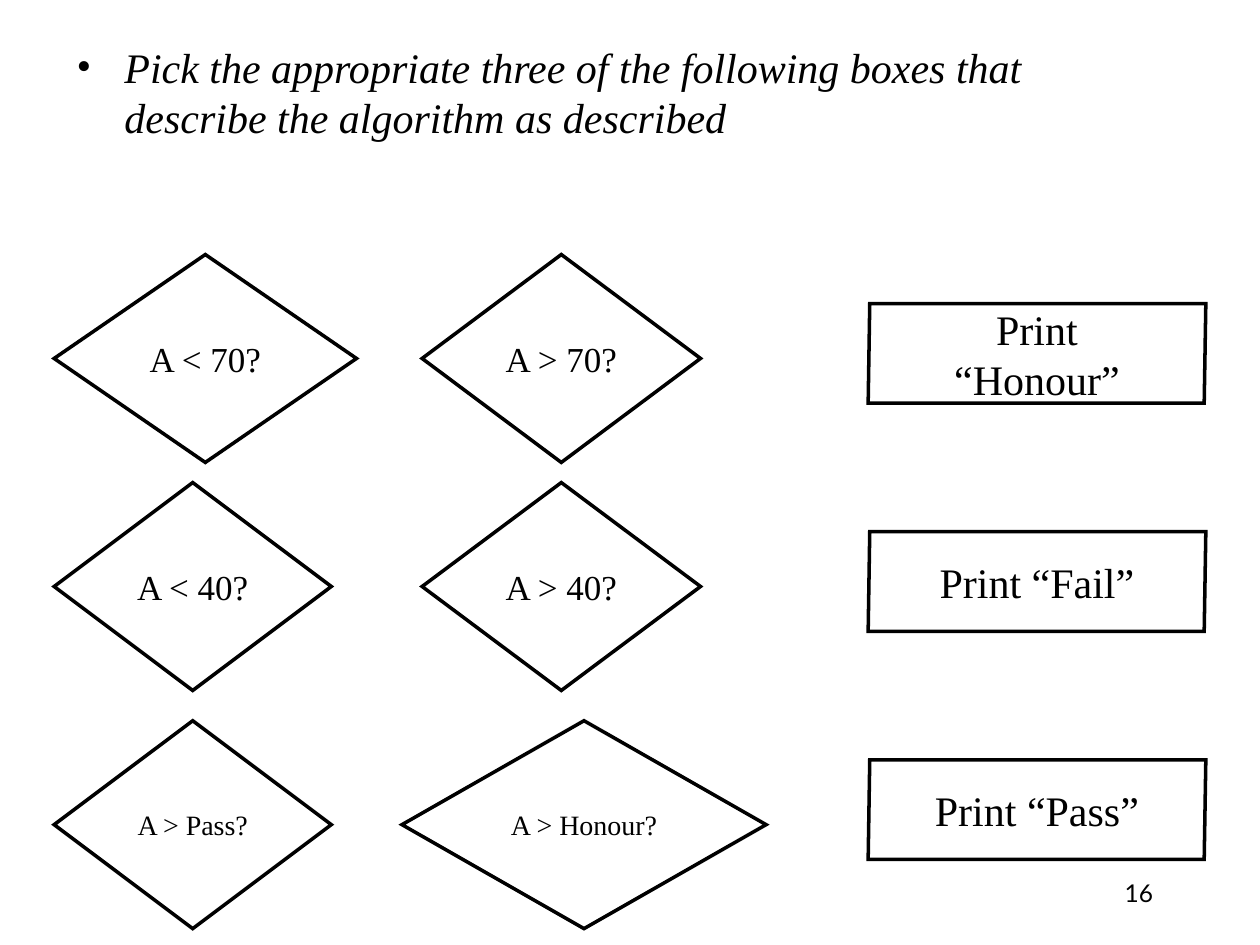
from lxml import etree
from pptx import Presentation
from pptx import util as u
from pptx.dml.color import RGBColor
from pptx.enum import shapes, text
from pptx.oxml.ns import qn

COLORS = {"ink": "000000", "paper": "FFFFFF"}
SERIF, SANS = "Times New Roman", "Lato"
COLUMNS, ROWS = 100, 75
SLIDE_WIDTH, SLIDE_HEIGHT = u.Inches(10), u.Inches(7.5)

# Region boxes: left, top, width, height in columns and rows
QUESTION_BOX = (5.1, 2.8, 89, 20.5)
DECISIONS_BOX = (4.3, 20.2, 56.5, 53.5)
OUTPUTS_BOX = (68.9, 24.1, 26.8, 44.1)
PAGE_NUMBER_BOX = (71.7, 69.2, 20.8, 4.2)

DIAMOND_HEIGHT = 16.5
# Row offset, font size, then label, column offset and width of each diamond
DECISIONS = [
    (0, 20, [("A < 70?", 0, 24), ("A > 70?", 29.2, 22.1)]),
    (18.1, 20, [("A < 40?", 0, 22), ("A > 40?", 29.2, 22.1)]),
    (37, 16, [("A > Pass?", 0, 22), ("A > Honour?", 27.6, 28.9)]),
]
OUTPUTS = ["Print “Honour”", "Print “Fail”", "Print “Pass”"]
OUTPUT_HEIGHT = 7.9


def color(name):
    return RGBColor.from_string(COLORS[name])


def to_slide(box):
    """Turn columns and rows into slide lengths."""
    left, top, width, height = box
    column, row = SLIDE_WIDTH / COLUMNS, SLIDE_HEIGHT / ROWS
    return [round(length) for length in
            (left * column, top * row, width * column, height * row)]


def write(shape, words, size, align, font=SERIF, italic=None):
    shape.text_frame.word_wrap = True
    paragraph = shape.text_frame.paragraphs[0]
    paragraph.alignment = align
    run = paragraph.add_run()
    run.text = words
    run.font.size = u.Pt(size)
    run.font.name = font
    run.font.italic = italic
    run.font.color.rgb = color("ink")
    return paragraph


def add_outlined(slide, kind, box, words, size):
    shape = slide.shapes.add_shape(kind, *to_slide(box))
    shape.shadow.inherit = False
    shape.fill.background()
    shape.line.color.rgb = color("ink")
    shape.line.width = u.Pt(2)
    etree.SubElement(shape.line._get_or_add_ln(), qn("a:miter"), lim="800000")
    shape.text_frame.vertical_anchor = text.MSO_ANCHOR.MIDDLE
    write(shape, words, size, text.PP_ALIGN.CENTER)
    return shape


def add_question(slide, box):
    shape = slide.shapes.add_textbox(*to_slide(box))
    paragraph = write(
        shape,
        "Pick the appropriate three of the following boxes that "
        "describe the algorithm as described",
        24, text.PP_ALIGN.LEFT, italic=True)
    properties = paragraph._p.get_or_add_pPr()
    indent = u.Inches(0.38)
    properties.set("marL", str(indent))
    properties.set("indent", str(-indent))
    bullet_color = etree.SubElement(properties, qn("a:buClr"))
    etree.SubElement(bullet_color, qn("a:srgbClr"), val=COLORS["ink"])
    etree.SubElement(properties, qn("a:buFont"), typeface=SERIF)
    etree.SubElement(properties, qn("a:buChar"), char="•")


def add_decisions(slide, box):
    left, top, _, _ = box
    for row, size, diamonds in DECISIONS:
        for words, column, width in diamonds:
            add_outlined(slide, shapes.MSO_SHAPE.DIAMOND,
                         (left + column, top + row, width, DIAMOND_HEIGHT),
                         words, size)


def add_outputs(slide, box):
    left, top, width, height = box
    pitch = (height - OUTPUT_HEIGHT) / (len(OUTPUTS) - 1)
    for index, words in enumerate(OUTPUTS):
        shape = add_outlined(slide, shapes.MSO_SHAPE.PARALLELOGRAM,
                             (left, top + index * pitch, width, OUTPUT_HEIGHT),
                             words, 24)
        shape.adjustments[0] = 0.016


def add_page_number(slide, box):
    shape = slide.shapes.add_textbox(*to_slide(box))
    write(shape, "16", 14, text.PP_ALIGN.RIGHT, font=SANS)


def main():
    presentation = Presentation()
    presentation.slide_width = SLIDE_WIDTH
    presentation.slide_height = SLIDE_HEIGHT
    slide = presentation.slides.add_slide(presentation.slide_layouts[6])
    slide.background.fill.solid()
    slide.background.fill.fore_color.rgb = color("paper")
    add_decisions(slide, DECISIONS_BOX)
    add_outputs(slide, OUTPUTS_BOX)
    add_question(slide, QUESTION_BOX)
    add_page_number(slide, PAGE_NUMBER_BOX)
    presentation.save("out.pptx")


if __name__ == "__main__":
    main()
